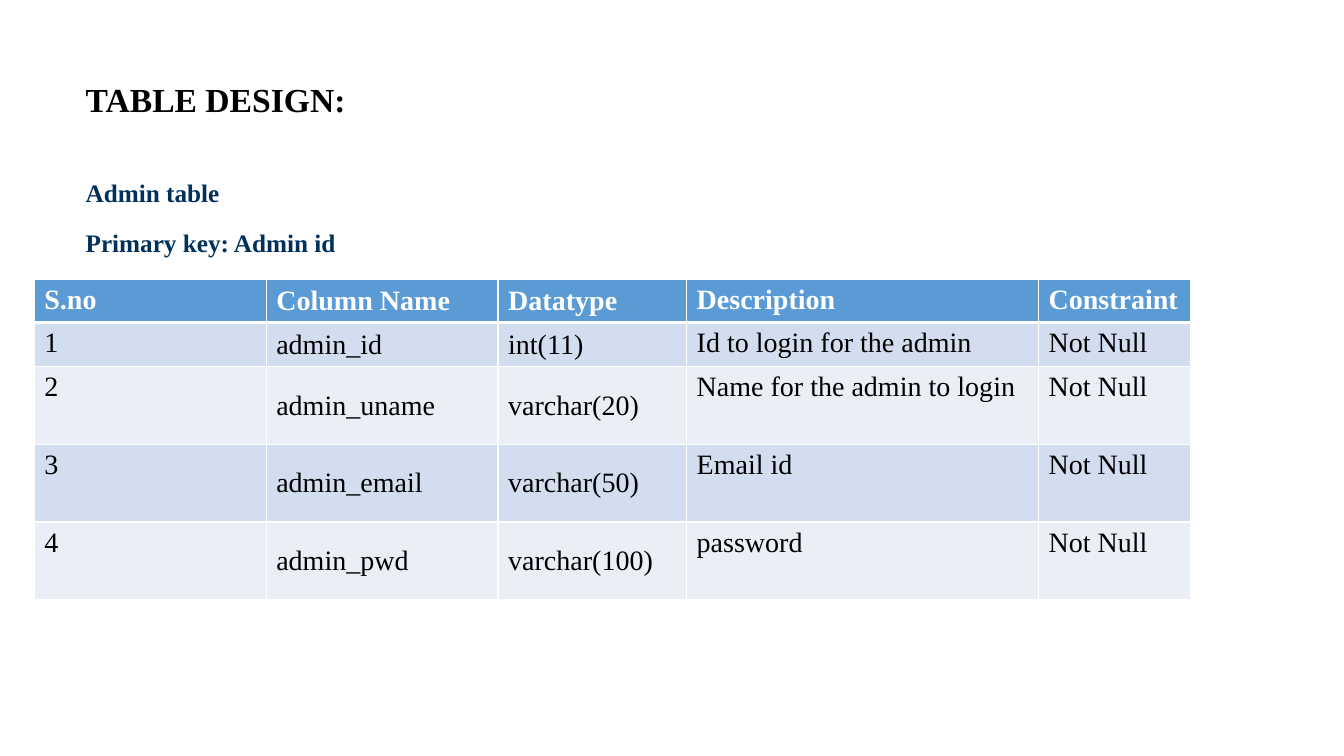
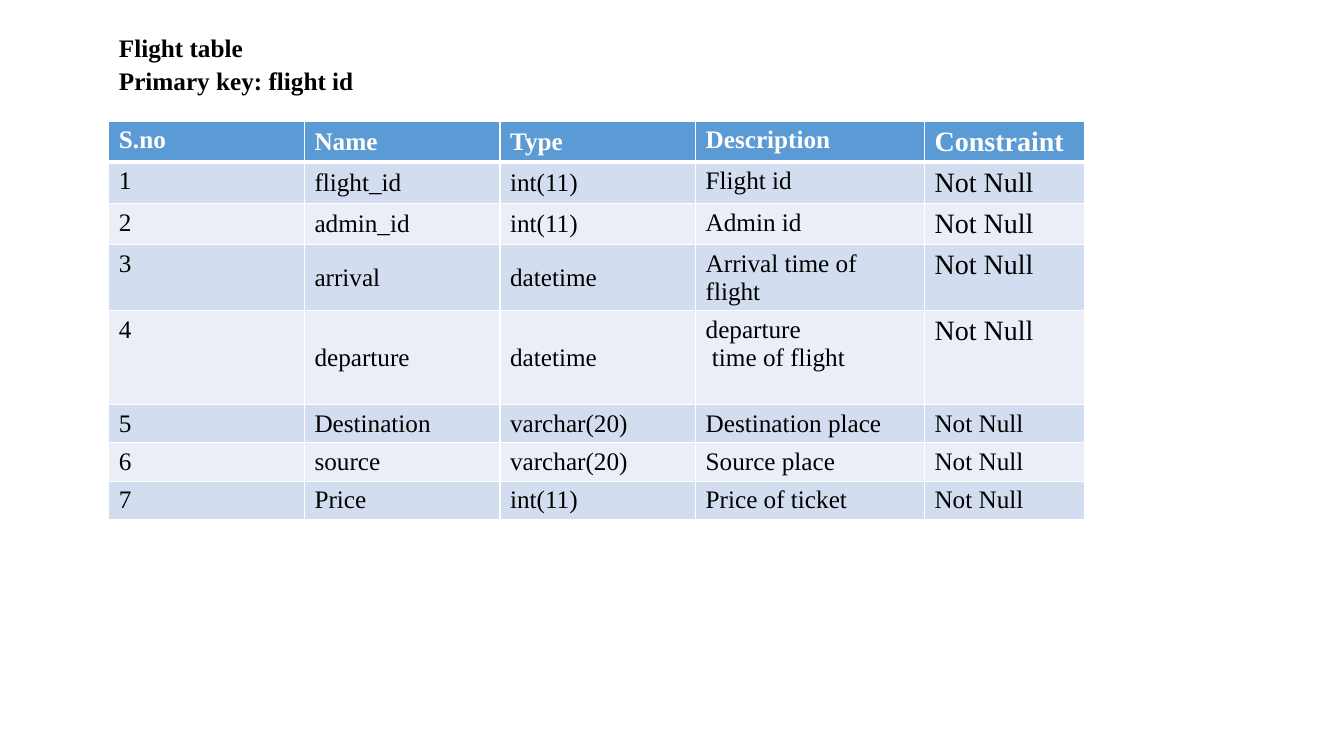
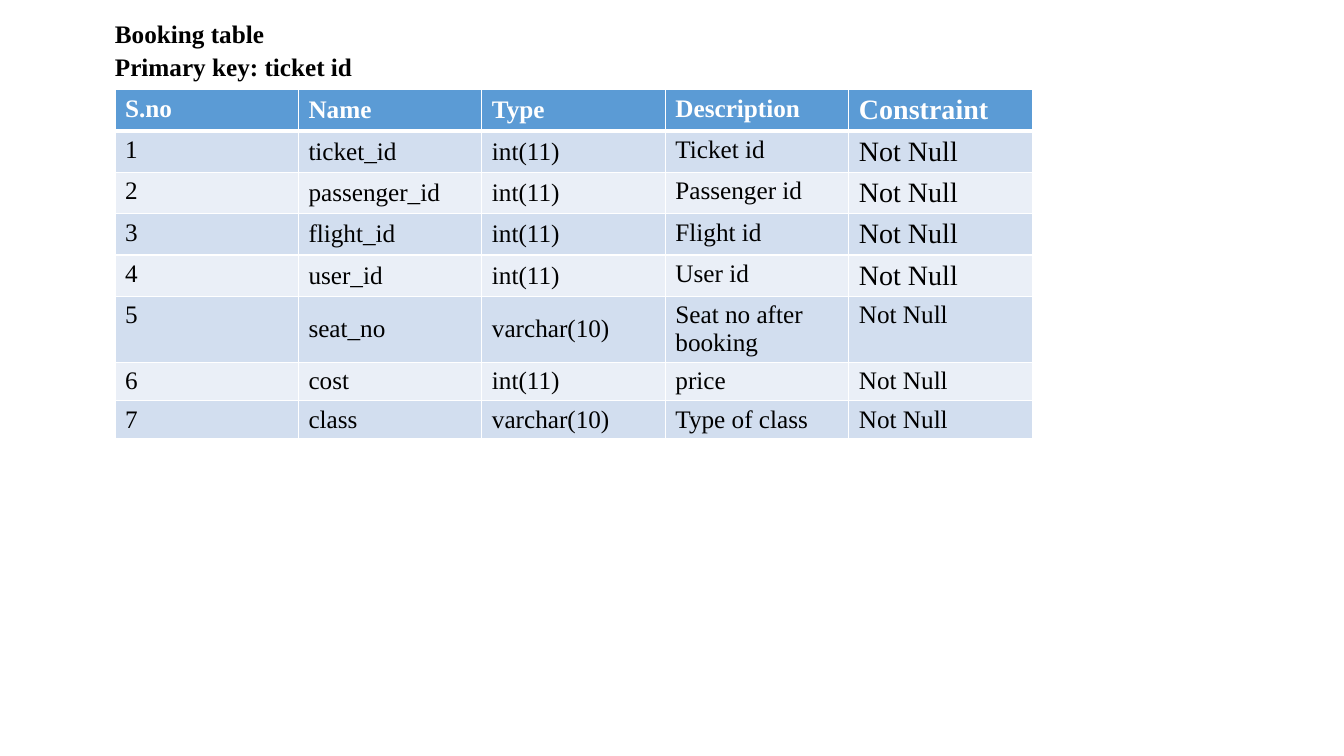
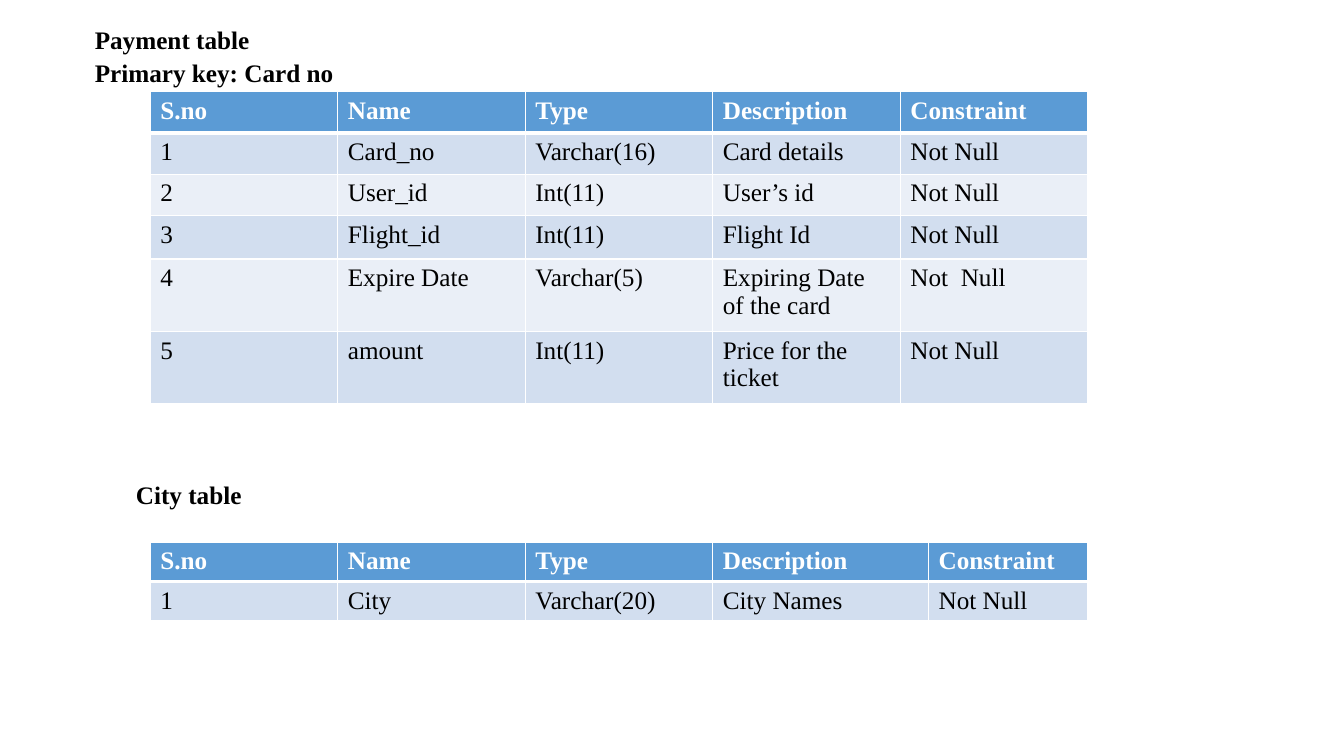
from lxml.etree import SubElement
from pptx import Presentation
from pptx.dml.color import RGBColor
from pptx.enum.text import MSO_ANCHOR as Anchor, MSO_AUTO_SIZE as AutoSize, PP_ALIGN as Align
from pptx.oxml.ns import qn
from pptx.util import Inches, Pt

HEADER = ["S.no", "Name", "Type", "Description", "Constraint"]


def color(value):
    """Return the colour of a hex string."""
    return RGBColor.from_string(value)


class SchemaDeck:
    """Holds the shared style, the deck and the current page."""

    FONT = "Times New Roman"
    BLACK, WHITE, NAVY = "000000", "FFFFFF", "00305C"
    HEAD_FILL, BANDS = "5B9BD5", ("EAEFF7", "D2DEEF")

    def __init__(self):
        """Start an empty widescreen deck."""
        self.deck = Presentation()
        self.deck.slide_width, self.deck.slide_height = Inches(13.33), Inches(7.5)
        self.page = None

    def add_page(self):
        """Add a title-only page."""
        self.page = self.deck.slides.add_slide(self.deck.slide_layouts[5])

    def style(self, para, size, bold=False, ink=BLACK):
        """Format every run of a paragraph."""
        for span in para.runs:
            span.font.name, span.font.size, span.font.bold = self.FONT, Pt(size), bold
            span.font.color.rgb = color(ink)

    def heading(self, box, text, left, top, width, height):
        """Place a box and fill it with a bold heading."""
        box.left, box.top = Inches(left), Inches(top)
        box.width, box.height = Inches(width), Inches(height)
        frame = box.text_frame
        frame.text = text
        frame.word_wrap, frame.auto_size = True, AutoSize.NONE
        frame.vertical_anchor = Anchor.TOP
        for para in frame.paragraphs:
            para.alignment, para.line_spacing = Align.LEFT, 1.1
            self.style(para, 18, True)
        return frame.paragraphs

    def title(self, text, left, top, width=4, height=0.78):
        """Write the page title."""
        return self.heading(self.page.shapes.title, text, left, top, width, height)

    def label(self, text, left, top, width, height):
        """Add a heading in a text box."""
        box = self.page.shapes.add_textbox(0, 0, 0, 0)
        return self.heading(box, text, left, top, width, height)

    def borders(self, cell, row):
        """Draw white cell borders, thick below the header."""
        for side in "LRTB":
            thick = (row, side) in ((0, "B"), (1, "T"))
            line = SubElement(cell._tc.get_or_add_tcPr(), qn(f"a:ln{side}"), w=str(Pt(3 if thick else 1)))
            SubElement(SubElement(line, qn("a:solidFill")), qn("a:srgbClr"), val=self.WHITE)

    def table(self, left, top, widths, heights, rows, size=18, large_rows=0, middle=(1, 2)):
        """Add a banded table; the first large_rows constraints are set in 20 points."""
        grid = self.page.shapes.add_table(
            len(rows), len(widths), Inches(left), Inches(top), Inches(sum(widths)), Inches(sum(heights))
        ).table
        for column, width in zip(grid.columns, widths):
            column.width = Inches(width)
        for row, (height, texts) in enumerate(zip(heights, rows)):
            grid.rows[row].height = Inches(height)
            for column, text in enumerate(texts):
                cell = grid.cell(row, column)
                cell.text = text
                self.borders(cell, row)
                cell.fill.solid()
                cell.fill.fore_color.rgb = color(self.BANDS[row % 2] if row else self.HEAD_FILL)
                cell.vertical_anchor = Anchor.MIDDLE if column in middle else Anchor.TOP
                points = 20 if column == 4 and row < large_rows else size
                for para in cell.text_frame.paragraphs:
                    self.style(para, points, row == 0, self.BLACK if row else self.WHITE)


def numbered(fields, header=HEADER, constraint="Not Null"):
    """Add the header, row numbers and constraints to the fields."""
    return [header] + [[str(number), *field, constraint] for number, field in enumerate(fields, 1)]


def admin_page(show):
    """Build the admin table page."""
    show.add_page()
    first, *details = show.title("TABLE DESIGN:\nAdmin table\nPrimary key: Admin id", 0.75, 0.73, 4, 1.9)
    first.line_spacing = 1
    show.style(first, 24, True)
    for para in details:
        para.line_spacing = 1.65
        show.style(para, 18, True, show.NAVY)
    details[0].space_before = Pt(28)
    fields = [
        ("admin_id", "int(11)", "Id to login for the admin"),
        ("admin_uname", "varchar(20)", "Name for the admin to login"),
        ("admin_email", "varchar(50)", "Email id"),
        ("admin_pwd", "varchar(100)", "password"),
    ]
    header = ["S.no", "Column Name", "Datatype", "Description", "Constraint"]
    show.table(0.34, 2.77, [2.3, 2.3, 1.87, 3.49, 1.51], [0.43, 0.44] + [0.77] * 3,
               numbered(fields, header), size=20)


def flight_page(show):
    """Build the flight table page."""
    show.add_page()
    show.title("Flight table\nPrimary key: flight id", 1.08, 0.24)
    fields = [
        ("flight_id", "int(11)", "Flight id"),
        ("admin_id", "int(11)", "Admin id"),
        ("arrival", "datetime", "Arrival time of flight"),
        ("departure", "datetime", "departure\n time of flight"),
        ("Destination", "varchar(20)", "Destination place"),
        ("source", "varchar(20)", "Source place"),
        ("Price", "int(11)", "Price of ticket"),
    ]
    show.table(1.08, 1.2, [1.94, 1.94, 1.94, 2.27, 1.59], [0.41] * 3 + [0.65, 0.93] + [0.38] * 3,
               numbered(fields), large_rows=5)


def booking_page(show):
    """Build the booking table page."""
    show.add_page()
    show.title("Booking table\nPrimary key: ticket id", 1.04, 0.1)
    fields = [
        ("ticket_id", "int(11)", "Ticket id"),
        ("passenger_id", "int(11)", "Passenger id"),
        ("flight_id", "int(11)", "Flight id"),
        ("user_id", "int(11)", "User id"),
        ("seat_no", "varchar(10)", "Seat no after booking"),
        ("cost", "int(11)", "price"),
        ("class", "varchar(10)", "Type of class"),
    ]
    show.table(1.14, 0.89, [1.82] * 5, [0.41] * 5 + [0.65] + [0.38] * 2, numbered(fields), large_rows=5)


def payment_page(show):
    """Build the page with the payment and city tables."""
    show.add_page()
    show.title("Payment table\nPrimary key: Card no", 0.84, 0.16)
    fields = [
        ("Card_no", "Varchar(16)", "Card details"),
        ("User_id", "Int(11)", "User’s id"),
        ("Flight_id", "Int(11)", "Flight Id"),
        ("Expire Date", "Varchar(5)", "Expiring Date of the card"),
        ("amount", "Int(11)", "Price for the ticket"),
    ]
    rows = numbered(fields)
    rows[4][4] = "Not  Null"
    show.table(1.49, 0.91, [1.86] * 5, [0.41] * 3 + [0.43, 0.72, 0.72], rows, middle=())
    show.label("City table", 1.25, 4.68, 6.67, 0.4)
    show.table(1.49, 5.38, [1.86, 1.86, 1.86, 2.14, 1.58], [0.39] * 2,
               numbered([("City", "Varchar(20)", "City Names")]), middle=())


def main():
    """Build and save the deck."""
    show = SchemaDeck()
    for build in (admin_page, flight_page, booking_page, payment_page):
        build(show)
    show.deck.save("out.pptx")


if __name__ == "__main__":
    main()
